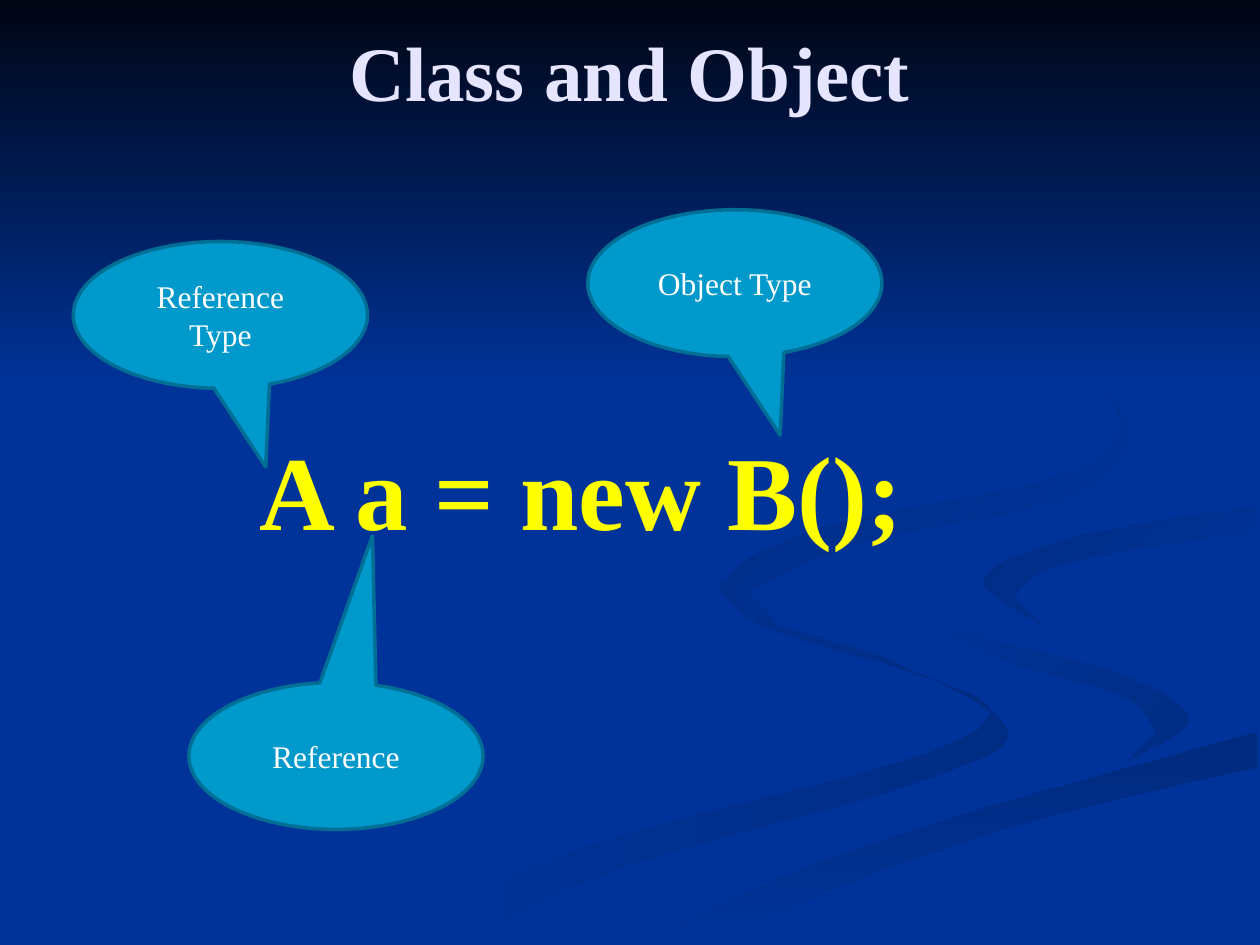
from pptx import Presentation
from pptx.dml.color import RGBColor
from pptx.enum.shapes import MSO_SHAPE
from pptx.enum.text import MSO_ANCHOR, PP_ALIGN
from pptx.util import Cm, Pt

BLUE = RGBColor(0x00, 0x33, 0x99)
DEEP_BLUE = RGBColor(0x00, 0x2C, 0x84)
DARK_BLUE = RGBColor(0x00, 0x2A, 0x7D)
NIGHT = RGBColor(0x00, 0x05, 0x14)
LAVENDER = RGBColor(0xE5, 0xE5, 0xFF)
YELLOW = RGBColor(0xFF, 0xFF, 0x00)
WHITE = RGBColor(0xFF, 0xFF, 0xFF)
CYAN = RGBColor(0x00, 0x99, 0xCC)
TEAL = RGBColor(0x00, 0x6F, 0x95)
FONT = "Times New Roman"

# First colour, last colour, clockwise angle, then the two edges of a ribbon,
# in hundredths of an inch; each edge is smoothed between its points
GRID_UNIT = Cm(0.0254)
RIBBONS = [
    (BLUE, DEEP_BLUE, 0,
     [(575, 459), (602, 490), (715, 528), (800, 581), (721, 623), (499, 687), (361, 749)],
     [(300, 749), (458, 674), (714, 605), (786, 566), (728, 535), (611, 499), (570, 468)]),
    (BLUE, DEEP_BLUE, 45,
     [(724, 464), (758, 498), (888, 535), (943, 570), (894, 605)],
     [(918, 581), (892, 553), (797, 524), (733, 488), (724, 464)]),
    (DARK_BLUE, BLUE, 90,
     [(503, 749), (630, 693), (764, 647), (998, 581)],
     [(998, 609), (821, 651), (670, 702), (571, 749)]),
    (DEEP_BLUE, BLUE, 45,
     [(998, 402), (850, 427), (781, 460), (826, 496)],
     [(805, 474), (843, 448), (998, 420)]),
    (DEEP_BLUE, BLUE, 45,
     [(762, 233), (846, 279), (889, 335), (842, 378), (649, 420), (577, 462), (622, 500)],
     [(593, 470), (683, 430), (841, 396), (894, 344), (843, 275), (762, 233)]),
]

# Label, left and top in centimetres, pointer position relative to the centre
CALLOUTS = [
    ("Reference Type", 1.48, 4.87, (0.154, 1.035)),
    ("Reference", 3.81, 13.76, (0.124, -1.5)),
    ("Object Type", 11.85, 4.23, (0.154, 1.035)),
]


def apply_format(target, values):
    """Set every attribute named in a dict of format values."""
    for name, value in values.items():
        setattr(target, name, value)


def write_text(shape, text, size, color, frame_format, bold=False, align=PP_ALIGN.LEFT):
    """Fill a shape with one formatted paragraph."""
    frame = shape.text_frame
    apply_format(frame, {"word_wrap": True, **frame_format})
    para = frame.paragraphs[0]
    para.alignment = align
    span = para.add_run()
    span.text = text
    apply_format(span.font, {"name": FONT, "size": Pt(size), "bold": bold})
    span.font.color.rgb = color


def smooth(points, steps=8):
    """Return points along a Catmull-Rom curve through the given points."""
    padded = [points[0], *points, points[-1]]
    curve = [points[0]]
    for before, start, end, after in zip(padded, padded[1:], padded[2:], padded[3:]):
        for step in range(1, steps + 1):
            t = step / steps
            curve.append(tuple(
                b + (c - a) * t / 2 + (2 * a - 5 * b + 4 * c - d) * t ** 2 / 2
                + (3 * b - a - 3 * c + d) * t ** 3 / 2
                for a, b, c, d in zip(before, start, end, after)))
    return curve


def fill_gradient(shape, first, last, angle):
    """Give a shape without outline a two-colour gradient, angle clockwise."""
    shape.shadow.inherit = False
    shape.line.fill.background()
    shape.fill.gradient()
    shape.fill.gradient_angle = (360 - angle) % 360
    for stop, color, position in zip(shape.fill.gradient_stops, (first, last), (0, 1)):
        stop.color.rgb = color
        stop.position = position


def add_ribbon(page, first, last, angle, outward, back):
    """Draw a curved ribbon between two edges."""
    outline = smooth(outward) + smooth(back)
    builder = page.shapes.build_freeform(*outline[0], scale=GRID_UNIT)
    builder.add_line_segments(outline[1:], close=True)
    fill_gradient(builder.convert_to_shape(), first, last, angle)


def add_sky(page):
    """Draw the dark band that fades into the background."""
    sky = page.shapes.add_shape(MSO_SHAPE.RECTANGLE, 0, 0, Cm(25.4), Cm(7.82))
    fill_gradient(sky, NIGHT, BLUE, 90)


def add_callout(page, label, left, top, pointer):
    """Draw an elliptical speech bubble with a centred label."""
    bubble = page.shapes.add_shape(MSO_SHAPE.OVAL_CALLOUT, Cm(left), Cm(top), Cm(5.93), Cm(2.96))
    bubble.adjustments[0], bubble.adjustments[1] = pointer
    bubble.shadow.inherit = False
    bubble.fill.solid()
    bubble.fill.fore_color.rgb = CYAN
    bubble.line.color.rgb = TEAL
    bubble.line.width = Pt(2)
    write_text(bubble, label, 18, WHITE, {"vertical_anchor": MSO_ANCHOR.MIDDLE},
               align=PP_ALIGN.CENTER)


def place_title(page, text):
    """Place the title placeholder in front of the backdrop."""
    title = page.shapes.title
    page.shapes.element.append(title.element)
    apply_format(title, {"left": Cm(1.27), "top": Cm(0.43), "width": Cm(22.86), "height": Cm(1.98)})
    write_text(title, text, 44, LAVENDER, {"vertical_anchor": MSO_ANCHOR.MIDDLE},
               bold=True, align=PP_ALIGN.CENTER)


def add_statement(page, text):
    """Add the large line of code."""
    box = page.shapes.add_textbox(Cm(4.45), Cm(8.46), Cm(15.44), Cm(5.33))
    write_text(box, text, 60, YELLOW, {"margin_left": Cm(0.78)}, bold=True)


def main():
    """Build the slide and save it."""
    deck = Presentation()
    deck.slide_width, deck.slide_height = Cm(25.4), Cm(19.05)
    page = deck.slides.add_slide(deck.slide_layouts[5])
    page.background.fill.solid()
    page.background.fill.fore_color.rgb = BLUE
    for ribbon in RIBBONS:
        add_ribbon(page, *ribbon)
    add_sky(page)
    place_title(page, "Class and Object")
    add_statement(page, "A a = new B();")
    for callout in CALLOUTS:
        add_callout(page, *callout)
    deck.save("out.pptx")


main()
